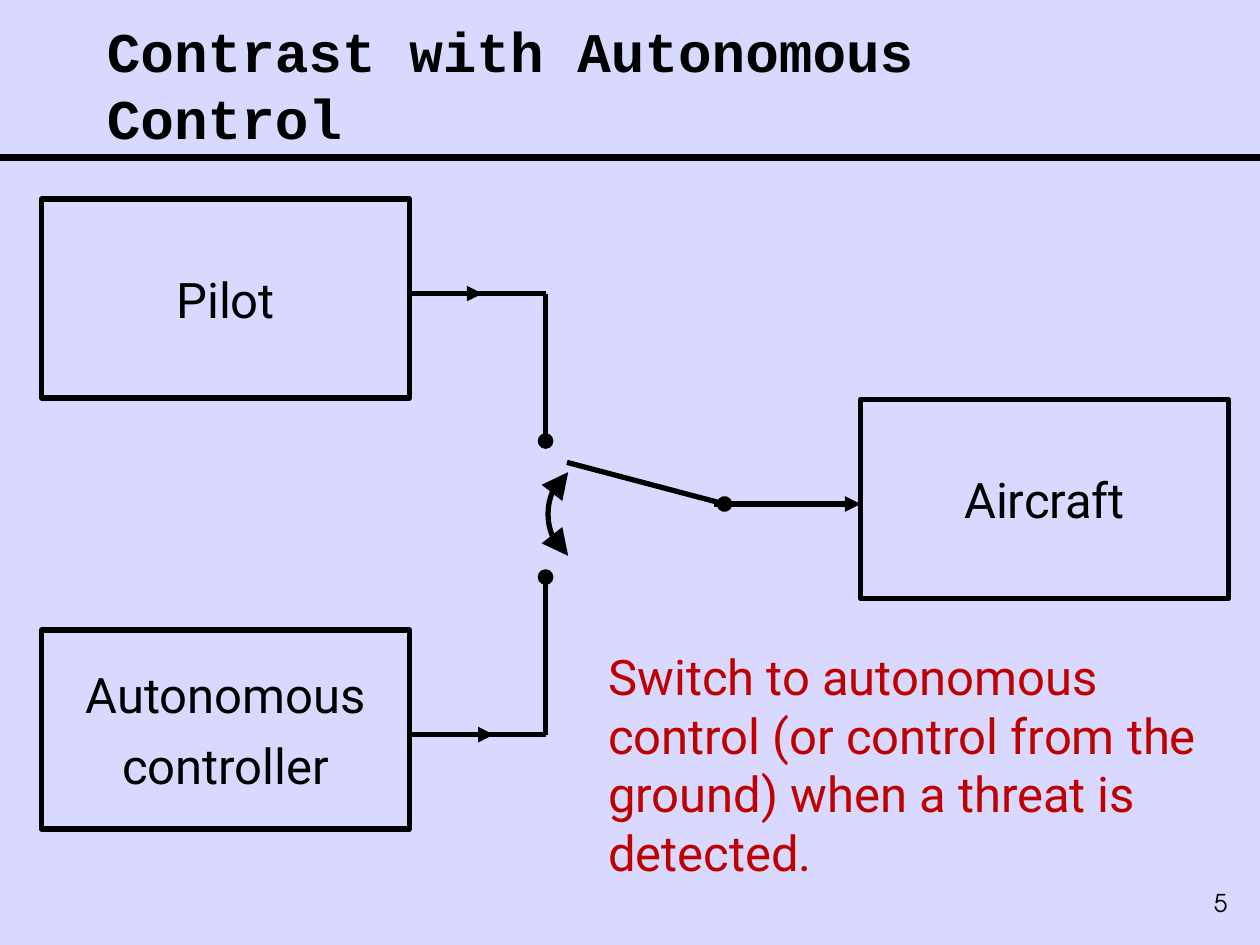
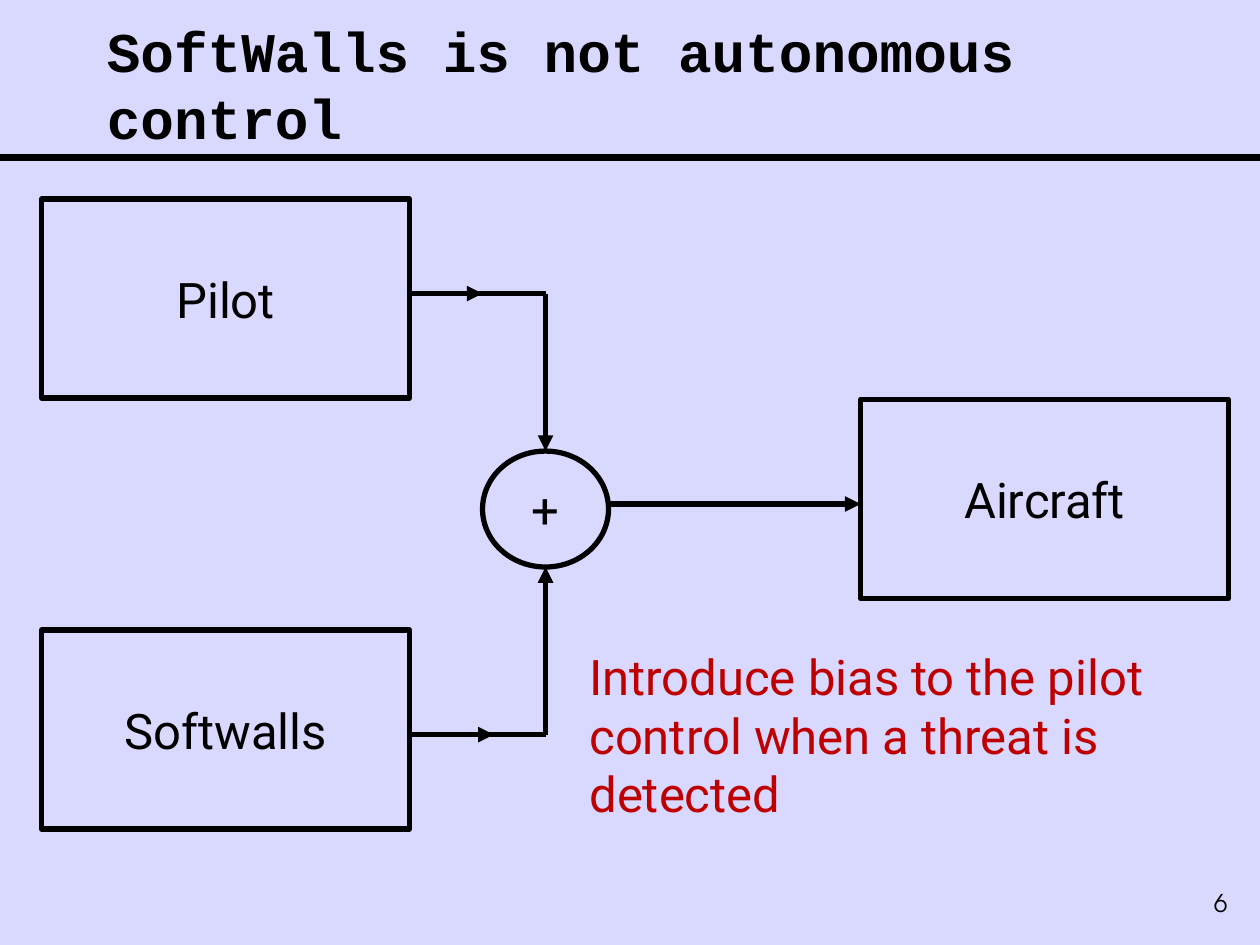
import math

import pptx
import pptx.dml.color
import pptx.enum.shapes
import pptx.enum.text
import pptx.util
from lxml import etree
from pptx.oxml.ns import qn
from pptx.util import Inches

COLORS = {"back": "D9D9FF", "ink": "000000", "note": "BE0000"}
FONTS = {"title": "Courier New", "body": "Roboto", "page": "TeX Gyre Adventor"}
SHAPES = pptx.enum.shapes.MSO_SHAPE
ALIGN = pptx.enum.text.PP_ALIGN
MIDDLE = pptx.enum.text.MSO_ANCHOR.MIDDLE
BOX_W, BOX_H = 2.92, 1.58
BUS_X = 4.33       # where both inputs turn towards the junction
PILOT_Y, LOWER_Y, OUT_Y = 2.33, 5.83, 4


def rgb(name):
    return pptx.dml.color.RGBColor.from_string(COLORS[name])


def write(shape, text, size=28, font="body", color="ink", align=ALIGN.LEFT, bold=False):
    frame = shape.text_frame
    frame.text = text
    for index, para in enumerate(frame.paragraphs):
        para.alignment = align
        if index:
            para.space_before = pptx.util.Pt(7)
        for run in para.runs:
            run.font.name = FONTS[font]
            run.font.size = pptx.util.Pt(size)
            run.font.bold = bold
            run.font.color.rgb = rgb(color)


def add_text(slide, text, left, top, width, height, **style):
    box = slide.shapes.add_textbox(*map(Inches, (left, top, width, height)))
    box.text_frame.word_wrap = True
    write(box, text, **style)
    return box


def add_node(slide, text, left, top, width=BOX_W, height=BOX_H, kind=SHAPES.RECTANGLE):
    node = slide.shapes.add_shape(kind, *map(Inches, (left, top, width, height)))
    node.shadow.inherit = False
    node.fill.background()
    set_line(node)
    node.text_frame.word_wrap = False
    node.text_frame.vertical_anchor = MIDDLE
    write(node, text, align=ALIGN.CENTER)


def set_line(shape, width=3, head=None, tail=None, size="med"):
    """Style the outline, with optional end marks at its start and finish."""
    shape.line.color.rgb = rgb("ink")
    shape.line.width = pptx.util.Pt(width)
    outline = shape.line._get_or_add_ln()
    for tag, mark in (("a:headEnd", head), ("a:tailEnd", tail)):
        if mark:
            etree.SubElement(outline, qn(tag), type=mark, w=size, len=size)


def add_line(slide, start, end, **style):
    straight = pptx.enum.shapes.MSO_CONNECTOR.STRAIGHT
    line = slide.shapes.add_connector(straight, *map(Inches, start + end))
    set_line(line, **style)
    etree.SubElement(line._element.spPr, qn("a:effectLst"))


def add_feed(slide, y, arrow_x, end_y, mark):
    """Lead from a left box to the bus, then along it to the junction."""
    add_line(slide, (3.25, y), (arrow_x, y), tail="triangle")
    add_line(slide, (3.75, y), (BUS_X, y))
    add_line(slide, (BUS_X, y), (BUS_X, end_y), tail=mark)


def add_swing(slide, mid_x=4.66, mid_y=4.08, rad_x=0.31, rad_y=0.38, sweep=61):
    """Draw the two-headed arc that shows the switch moving."""
    points = []
    for step in range(-12, 13):
        angle = math.radians(sweep * step / 12)
        points.append((Inches(mid_x - rad_x * math.cos(angle)),
                       Inches(mid_y + rad_y * math.sin(angle))))
    path = slide.shapes.build_freeform(*points[0])
    path.add_line_segments(points[1:], close=False)
    arc = path.convert_to_shape()
    arc.shadow.inherit = False
    arc.fill.background()
    set_line(arc, head="triangle", tail="triangle", size="lg")


def add_slide(deck, title, page):
    slide = deck.slides.add_slide(deck.slide_layouts[6])
    slide.background.fill.solid()
    slide.background.fill.fore_color.rgb = rgb("back")
    add_line(slide, (0, 1.25), (10, 1.25), width=4.5)
    head = add_text(slide, title, 0.75, 0.25, 8.5, 0.83, size=32, font="title", bold=True)
    head.text_frame.vertical_anchor = MIDDLE
    add_text(slide, page, 7.42, 7, 2.42, 0.33, size=14, font="page", align=ALIGN.RIGHT)
    return slide


def add_flow(slide, lower, ends, mark):
    """Draw the three boxes, both inputs and the output to the aircraft."""
    add_node(slide, "Pilot", 0.33, 1.58)
    add_node(slide, "Aircraft", 6.83, 3.17)
    add_node(slide, lower, 0.33, 5)
    add_feed(slide, PILOT_Y, 3.83, ends[0], mark)
    add_feed(slide, LOWER_Y, 3.92, ends[1], mark)
    add_line(slide, (5.67, OUT_Y), (6.83, OUT_Y), tail="triangle")


def main():
    deck = pptx.Presentation()
    deck.slide_width, deck.slide_height = Inches(10), Inches(7.5)

    switch = add_slide(deck, "Contrast with Autonomous Control", "5")
    add_flow(switch, "Autonomous\ncontroller", (3.5, 4.58), "oval")
    add_line(switch, (5.75, OUT_Y), (4.5, 3.67), head="oval")
    add_swing(switch)
    add_text(switch, "Switch to autonomous control (or control from the ground) "
             "when a threat is detected.", 4.73, 5.08, 4.93, 1.97, color="note")

    blend = add_slide(deck, "SoftWalls is not autonomous control", "6")
    add_flow(blend, "Softwalls", (3.58, 4.5), "triangle")
    add_node(blend, "+", 3.83, 3.58, 1, 0.92, SHAPES.OVAL)
    add_line(blend, (4.83, OUT_Y), (5.67, OUT_Y))
    add_text(blend, "Introduce bias to the pilot control when a threat is detected",
             4.58, 5.08, 5.25, 1.5, color="note")

    deck.save("out.pptx")


if __name__ == "__main__":
    main()
